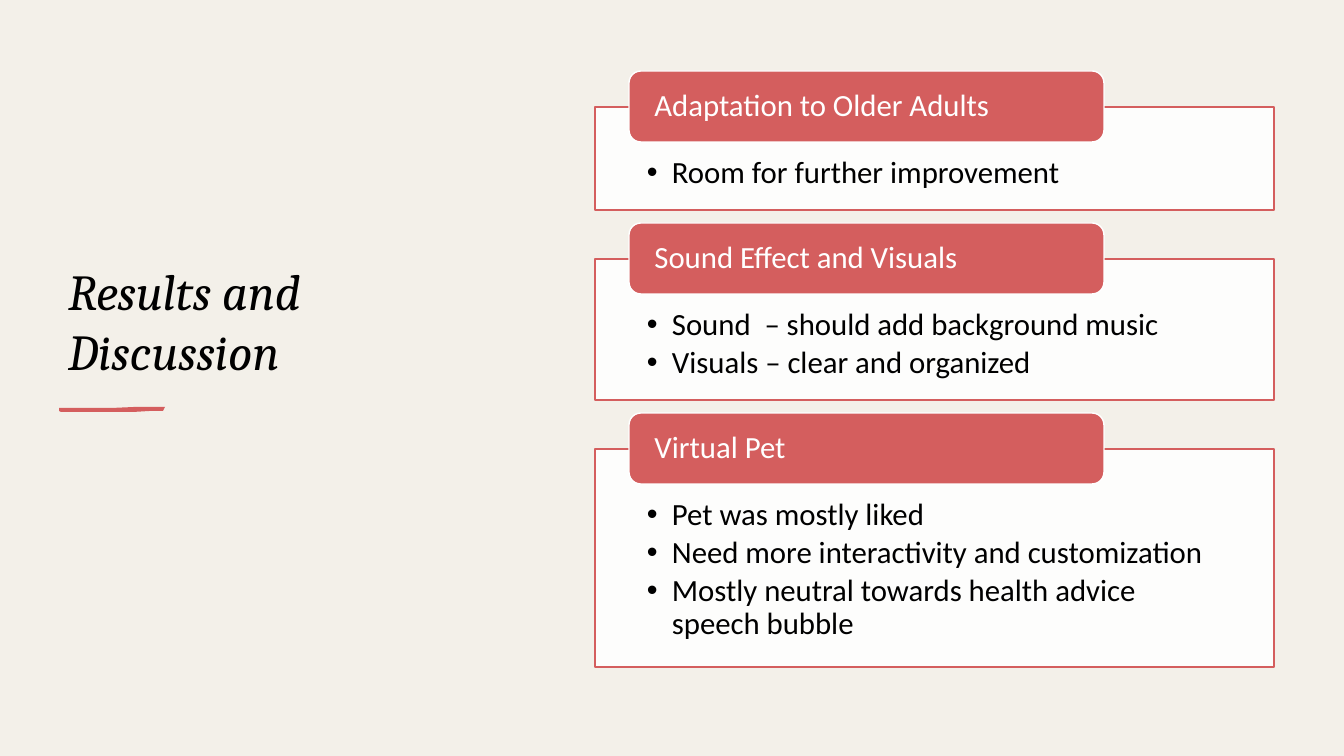
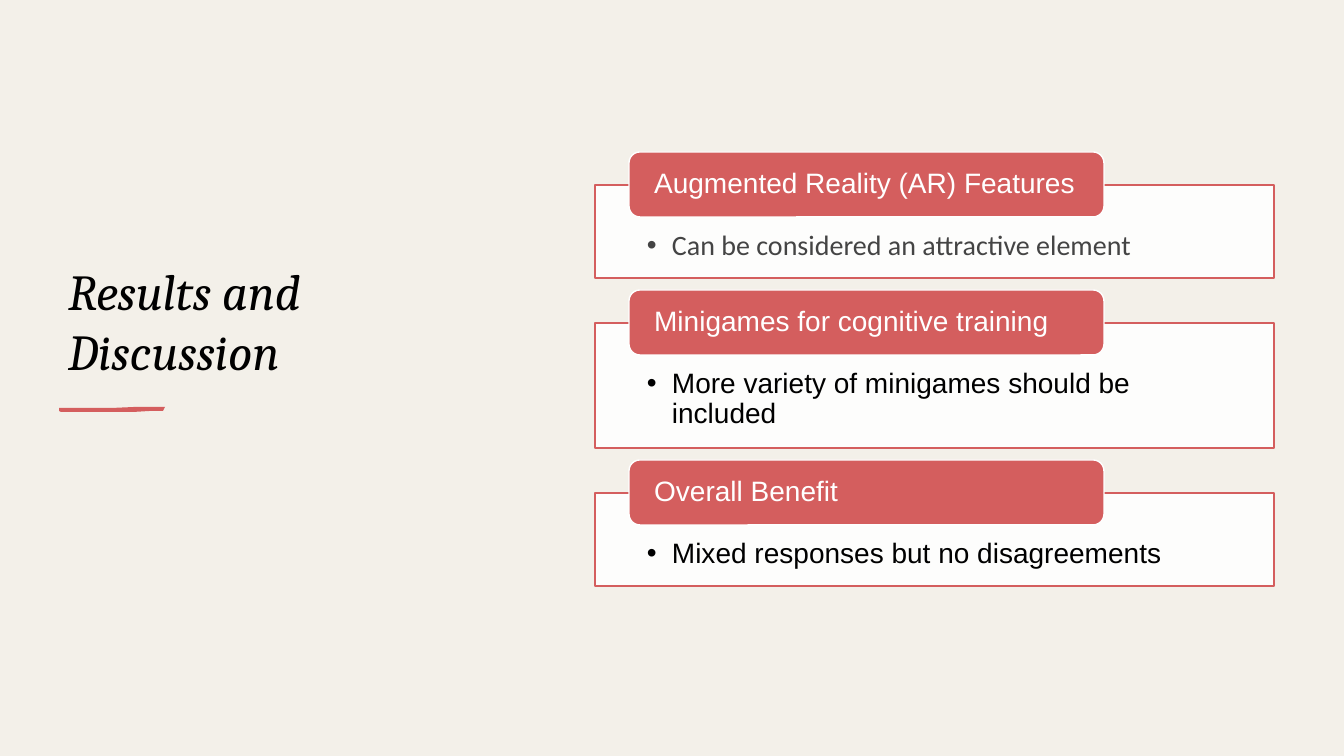
from lxml import etree
from pptx import Presentation
from pptx.dml.color import RGBColor
from pptx.enum.shapes import MSO_SHAPE
from pptx.enum.text import MSO_ANCHOR, PP_ALIGN
from pptx.oxml.ns import qn
from pptx.util import Emu, Pt

RECTANGLE = MSO_SHAPE.RECTANGLE
ROUNDED = MSO_SHAPE.ROUNDED_RECTANGLE
LEFT = PP_ALIGN.LEFT
TOP, MIDDLE, BOTTOM = MSO_ANCHOR.TOP, MSO_ANCHOR.MIDDLE, MSO_ANCHOR.BOTTOM

EMU_PER_PX = 914400 / 100.8
TITLE_ONLY = 5
COLORS = {
    "paper": "F3F0E9",
    "coral": "D45E5E",
    "white": "FFFFFF",
    "black": "000000",
    "gray": "444444",
}
TITLE = "Results and Discussion"
TITLE_FONT = {"name": "Cambria", "size": Pt(36), "italic": True, "bold": False}
BRUSH_STROKE = [
    (59, 408), (88, 408), (112, 408), (134, 407), (165, 407),
    (163, 411), (150, 411), (133, 412), (100, 412), (61, 412), (59, 411),
]
CARD_LEFT, CARD_WIDTH = 595, 679
TAB_LEFT, TAB_WIDTH = 629, 475
BULLET_INDENT = 25

RESULT_SLIDES = [
    {
        "top": 71, "tab": 71, "overlap": 36, "gap": 13, "size": 22, "tab_font": "Calibri",
        "cards": [
            ("Adaptation to Older Adults", 103, "Calibri", "black",
             ["Room for further improvement"]),
            ("Sound Effect and Visuals", 141, "Calibri", "black",
             ["Sound  – should add background music", "Visuals – clear and organized"]),
            ("Virtual Pet", 218, "Calibri", "black",
             ["Pet was mostly liked", "Need more interactivity and customization",
              "Mostly neutral towards health advice speech bubble"]),
        ],
    },
    {
        "top": 152, "tab": 65, "overlap": 33, "gap": 12, "size": 20, "tab_font": "Arial",
        "cards": [
            ("Augmented Reality (AR) Features", 93, "Calibri", "gray",
             ["Can be considered an attractive element"]),
            ("Minigames for cognitive training", 125, "Arial", "black",
             ["More variety of minigames should be included"]),
            ("Overall Benefit", 93, "Arial", "black",
             ["Mixed responses but no disagreements"]),
        ],
    },
]


def px(length):
    """Turn pixels into EMU."""
    return Emu(round(length * EMU_PER_PX))


def rgb(name):
    """Look up a named colour."""
    return RGBColor.from_string(COLORS[name])


def apply(target, values):
    """Set each attribute named in a dict."""
    for name, value in values.items():
        setattr(target, name, value)


class Deck:
    """Hold the shared style and the current slide."""

    def __init__(self):
        """Open a wide presentation with the paper background."""
        self.presentation = Presentation()
        apply(self.presentation, {"slide_width": px(1344), "slide_height": px(756)})
        background = self.presentation.slide_master.background.fill
        background.solid()
        background.fore_color.rgb = rgb("paper")
        self.slide = None

    def add_slide(self, title):
        """Start a slide with its title and brush stroke."""
        layout = self.presentation.slide_layouts[TITLE_ONLY]
        self.slide = self.presentation.slides.add_slide(layout)
        shape = self.slide.shapes.title
        apply(shape, {"left": px(58), "top": px(70), "width": px(471), "height": px(316)})
        self.frame(shape, BOTTOM, (10, 5, 10, 5))
        self.add_text(shape.text_frame.paragraphs[0], title, TITLE_FONT, "black")
        self.brush_stroke()

    def brush_stroke(self):
        """Draw the hand-painted underline."""
        start, *points = BRUSH_STROKE
        builder = self.slide.shapes.build_freeform(*start, scale=EMU_PER_PX)
        builder.add_line_segments(points, close=True)
        self.paint(builder.convert_to_shape(), "coral")

    def paint(self, shape, fill, line=None, opacity=100):
        """Fill and outline a shape without a shadow."""
        shape.shadow.inherit = False
        shape.fill.solid()
        shape.fill.fore_color.rgb = rgb(fill)
        if opacity < 100:
            color = shape._element.spPr.find(qn("a:solidFill"))[0]
            etree.SubElement(color, qn("a:alpha"), val=str(opacity * 1000))
        if line:
            shape.line.color.rgb = rgb(line)
            shape.line.width = Pt(1)
        else:
            shape.line.fill.background()

    def frame(self, shape, anchor, margins):
        """Set the anchor and the left, top, right and bottom margins."""
        sides = ("margin_left", "margin_top", "margin_right", "margin_bottom")
        apply(shape.text_frame, {"word_wrap": True, "vertical_anchor": anchor})
        apply(shape.text_frame, dict(zip(sides, map(px, margins))))

    def add_text(self, paragraph, text, font, color, **layout):
        """Put one formatted run in a left-aligned paragraph."""
        apply(paragraph, {"alignment": LEFT, **layout})
        run = paragraph.add_run()
        run.text = text
        apply(run.font, font)
        run.font.color.rgb = rgb(color)

    def box(self, kind, left, top, width, height):
        """Add a preset shape measured in pixels."""
        return self.slide.shapes.add_shape(kind, *map(px, (left, top, width, height)))

    def bullets(self, shape, items, font, color):
        """Add a bulleted list to a shape."""
        frame = shape.text_frame
        for index, item in enumerate(items):
            paragraph = frame.add_paragraph() if index else frame.paragraphs[0]
            properties = paragraph._p.get_or_add_pPr()
            properties.set("marL", str(px(BULLET_INDENT)))
            properties.set("indent", str(-px(BULLET_INDENT)))
            etree.SubElement(properties, qn("a:buFont"), typeface="Arial")
            etree.SubElement(properties, qn("a:buChar"), char="•")
            self.add_text(paragraph, item, font, color, line_spacing=0.9,
                          space_after=Pt(font["size"].pt * 0.15))

    def card(self, top, height, items, font, color, inset):
        """Add a translucent panel with a list."""
        panel = self.box(RECTANGLE, CARD_LEFT, top, CARD_WIDTH, height)
        self.paint(panel, "white", "coral", 90)
        self.frame(panel, TOP, (52, inset, 52, 17))
        self.bullets(panel, items, font, color)

    def tab(self, top, height, text, font):
        """Add a rounded heading that overlaps its panel."""
        heading = self.box(ROUNDED, TAB_LEFT, top, TAB_WIDTH, height)
        self.paint(heading, "coral", "white")
        self.frame(heading, MIDDLE, (22, 0, 22, 0))
        self.add_text(heading.text_frame.paragraphs[0], text, font, "white", line_spacing=0.9)

    def card_stack(self, top, tab, overlap, gap, size, tab_font, cards):
        """Stack headed cards downwards with equal gaps."""
        for heading, height, font_name, color, items in cards:
            font = {"name": font_name, "size": Pt(size)}
            self.card(top + overlap, height, items, font, color, overlap + gap + 1)
            self.tab(top, tab, heading, {"name": tab_font, "size": Pt(size)})
            top += overlap + height + gap


def main():
    """Build and save the result slides."""
    deck = Deck()
    for stack in RESULT_SLIDES:
        deck.add_slide(TITLE)
        deck.card_stack(**stack)
    deck.presentation.save("out.pptx")


if __name__ == "__main__":
    main()
